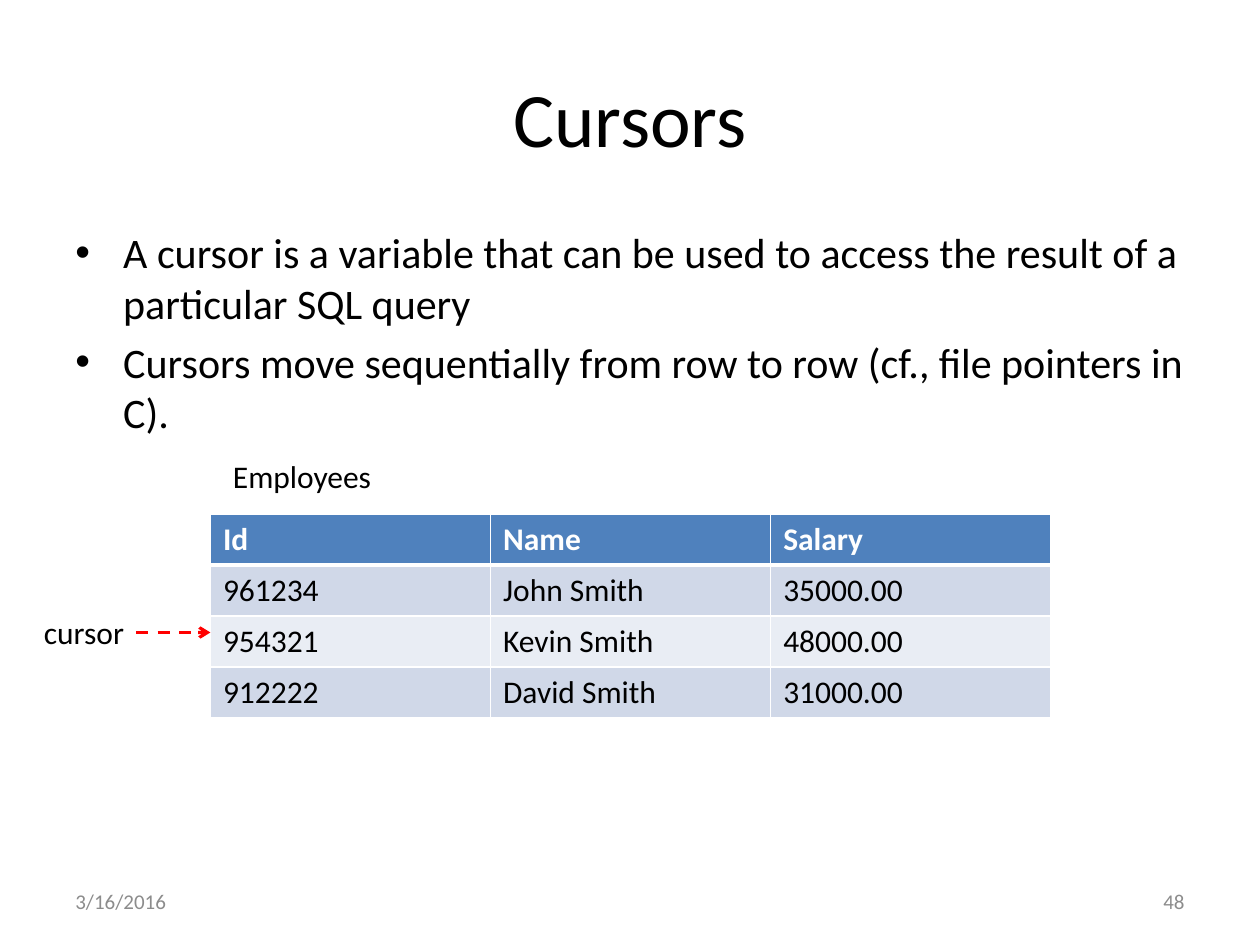
from dataclasses import dataclass

from pptx import Presentation
from pptx.dml.color import RGBColor
from pptx.enum.dml import MSO_LINE
from pptx.enum.shapes import MSO_CONNECTOR
from pptx.enum.text import MSO_ANCHOR as Anchor, PP_ALIGN as Align
from pptx.oxml.ns import qn
from pptx.util import Inches, Pt
from lxml.etree import SubElement

FONT = "Calibri"
BLACK, WHITE, GREY, RED = "000000", "FFFFFF", "8C8C8C", "FF0000"
HEADER_FILL, BAND_FILLS = "4F81BD", ("D0D8E8", "E9EDF4")
EMPLOYEES = [
    ("Id", "Name", "Salary"),
    ("961234", "John Smith", "35000.00"),
    ("954321", "Kevin Smith", "48000.00"),
    ("912222", "David Smith", "31000.00"),
]


@dataclass
class Label:
    lines: tuple[str, ...]
    left: float
    top: float
    width: float
    height: float
    size: float = 18
    color: str = BLACK
    align: Align = Align.LEFT
    anchor: Anchor = Anchor.TOP
    bulleted: bool = False


LABELS = [
    Label(("Cursors",), 0.5, 0.3, 9, 1.25, 44, align=Align.CENTER, anchor=Anchor.MIDDLE),
    Label(("A cursor is a variable that can be used to access the result of a "
           "particular SQL query",
           "Cursors move sequentially from row to row (cf., file pointers in C)."),
          0.5, 1.75, 9, 4.95, 24, bulleted=True),
    Label(("3/16/2016",), 0.5, 6.95, 2.33, 0.4, 12, GREY, anchor=Anchor.MIDDLE),
    Label(("48",), 7.17, 6.95, 2.33, 0.4, 12, GREY, Align.RIGHT, Anchor.MIDDLE),
    Label(("Employees",), 1.75, 3.58, 2.08, 0.42),
    Label(("cursor",), 0.25, 4.82, 1.08, 0.4),
]


def rgb(color: str) -> RGBColor:
    return RGBColor.from_string(color)


def style(paragraph, size: float, color: str, bold: bool = False) -> None:
    font = paragraph.font
    font.name, font.size, font.bold = FONT, Pt(size), bold
    font.color.rgb = rgb(color)


def add_bullet(paragraph) -> None:
    paragraph.space_before = Pt(5)
    props = paragraph._p.get_or_add_pPr()
    props.set("marL", str(Inches(0.38)))
    props.set("indent", str(Inches(-0.38)))
    bullet_font = props.makeelement(qn("a:buFont"), {"typeface": "Arial"})
    bullet = props.makeelement(qn("a:buChar"), {"char": "•"})
    props.find(qn("a:spcBef")).addnext(bullet_font)
    bullet_font.addnext(bullet)


def draw_label(slide, label: Label) -> None:
    box = slide.shapes.add_textbox(Inches(label.left), Inches(label.top),
                                   Inches(label.width), Inches(label.height))
    frame = box.text_frame
    frame.word_wrap = True
    frame.vertical_anchor = label.anchor
    frame.text = "\n".join(label.lines)
    for paragraph in frame.paragraphs:
        paragraph.alignment = label.align
        style(paragraph, label.size, label.color)
        if label.bulleted:
            add_bullet(paragraph)


def add_border(cell, side: str, width: float) -> None:
    line = SubElement(cell._tc.get_or_add_tcPr(), qn(f"a:ln{side}"), w=str(Pt(width)))
    fill = SubElement(line, qn("a:solidFill"))
    SubElement(fill, qn("a:srgbClr"), val=WHITE)


def draw_employees(slide) -> None:
    table = slide.shapes.add_table(len(EMPLOYEES), len(EMPLOYEES[0]), Inches(1.67),
                                   Inches(4.08), Inches(6.67), Inches(1.62)).table
    for r, record in enumerate(EMPLOYEES):
        is_header = r == 0
        for c, value in enumerate(record):
            cell = table.cell(r, c)
            cell.text = value
            style(cell.text_frame.paragraphs[0], 18, WHITE if is_header else BLACK, is_header)
            # The rule under the header is thicker than the others
            widths = {"L": 1, "R": 1, "T": 3 if r == 1 else 1, "B": 3 if is_header else 1}
            for side, width in widths.items():
                add_border(cell, side, width)
            cell.fill.solid()
            cell.fill.fore_color.rgb = rgb(HEADER_FILL if is_header else BAND_FILLS[(r - 1) % 2])


def draw_cursor_arrow(slide) -> None:
    arrow = slide.shapes.add_connector(MSO_CONNECTOR.STRAIGHT, Inches(1.08), Inches(5.02),
                                       Inches(1.67), Inches(5.02))
    arrow.line.color.rgb = rgb(RED)
    arrow.line.width = Pt(1.75)
    arrow.line.dash_style = MSO_LINE.DASH
    SubElement(arrow.line._get_or_add_ln(), qn("a:tailEnd"), type="arrow")
    SubElement(arrow._element.spPr, qn("a:effectLst"))


presentation = Presentation()
presentation.slide_width, presentation.slide_height = Inches(10), Inches(7.5)
slide = presentation.slides.add_slide(presentation.slide_layouts[6])

# Title, bullets, footer and captions
for label in LABELS:
    draw_label(slide, label)

# Table with the cursor pointing at a row
draw_employees(slide)
draw_cursor_arrow(slide)

presentation.save("out.pptx")
